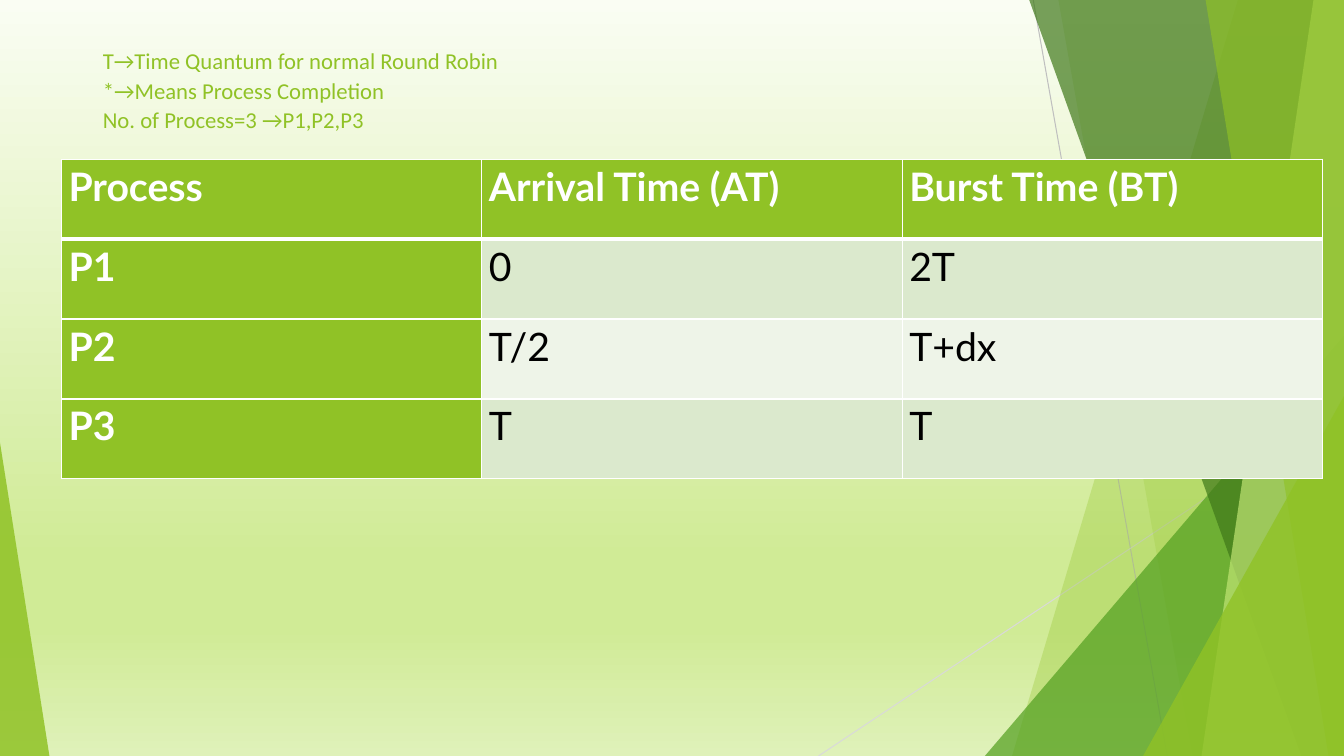
from lxml.etree import SubElement
from pptx import Presentation
from pptx.dml.color import RGBColor
from pptx.enum.shapes import MSO_CONNECTOR, MSO_SHAPE
from pptx.enum.text import MSO_ANCHOR, MSO_AUTO_SIZE, PP_ALIGN
from pptx.oxml.ns import qn
from pptx.util import Inches, Pt

WIDTH, HEIGHT = Inches(13.33), Inches(7.5)
COLORS = {
    "lime": "90C226", "green": "54A021", "forest": "3F7819", "pale lime": "C0E474",
    "gray": "BFBFBF", "light gray": "D9D9D9", "white": "FFFFFF", "black": "000000",
    "odd row": "DBE9CD", "even row": "EEF4E8",
}
BACKDROP = [(0, "FAFDF3"), (74, "D0EB96"), (83, "D0EB96"), (100, "DFF1B9")]
LEGEND = ["T→Time Quantum for normal Round Robin", "*→Means Process Completion",
          "No. of Process=3 →P1,P2,P3"]
SCHEDULE = [
    ["Process", "Arrival Time (AT)", "Burst Time (BT)"],
    ["P1", "0", "2T"],
    ["P2", "T/2", "T+dx"],
    ["P3", "T", "T"],
]
RAYS = [((76.88, 0), (86.85, 100), "gray"), ((100, 53.73), (60.9, 100), "light gray")]
BACK_PANELS = [(92.1, 75.3, "lime", 30), (78.75, 88.73, "lime", 20)]
FRONT_PANELS = [(76.58, 96.83, "forest", 70), (97.73, 89.4, "pale lime", 70),
                (89.7, 98.85, "lime", 65)]
BACK_WEDGES = [(73.28, 100, 44.4, 1, "green", 72)]
FRONT_WEDGES = [(85.05, 100, 52.4, 1, "lime", 80), (0, 3.68, 58.53, 0, "lime", 85)]


def across(percent):
    return round(WIDTH * percent / 100)


def down(percent):
    return round(HEIGHT * percent / 100)


def rgb(name):
    return RGBColor.from_string(COLORS[name])


def paint_backdrop(slide):
    fill = slide.background.fill
    fill.gradient()
    fill.gradient_angle = 270
    stops = slide.element.find(".//" + qn("a:gsLst"))
    for stop in list(stops):
        stops.remove(stop)
    for position, color in BACKDROP:
        stop = SubElement(stops, qn("a:gs"), pos=str(position * 1000))
        SubElement(stop, qn("a:srgbClr"), val=color)


def tint(facet, color, opacity):
    facet.shadow.inherit = False
    facet.line.fill.background()
    facet.fill.solid()
    facet.fill.fore_color.rgb = rgb(color)
    shade = facet.element.spPr.find(qn("a:solidFill"))[0]
    SubElement(shade, qn("a:alpha"), val=str(opacity * 1000))


def add_ray(slide, start, end, color):
    ray = slide.shapes.add_connector(
        MSO_CONNECTOR.STRAIGHT, across(start[0]), down(start[1]), across(end[0]), down(end[1]))
    ray.line.color.rgb = rgb(color)
    ray.line.width = Pt(0.75)
    SubElement(ray.element.spPr, qn("a:effectLst"))


def add_panel(slide, top_left, bottom_left, color, opacity):
    outline = slide.shapes.build_freeform(across(top_left), 0)
    outline.add_line_segments(
        [(WIDTH, 0), (WIDTH, HEIGHT), (across(bottom_left), HEIGHT)], close=True)
    tint(outline.convert_to_shape(), color, opacity)


def add_wedge(slide, left, right, top, apex, color, opacity):
    wedge = slide.shapes.add_shape(
        MSO_SHAPE.ISOSCELES_TRIANGLE, across(left), down(top),
        across(right - left), down(100 - top))
    wedge.adjustments[0] = apex
    tint(wedge, color, opacity)


def write(frame, text, font, size, color, bold=False, align=PP_ALIGN.LEFT):
    frame.text = text
    paragraph = frame.paragraphs[0]
    paragraph.alignment = align
    paragraph.line_spacing = 1.07
    paragraph.space_before = Pt(0)
    paragraph.space_after = Pt(8)
    for run in paragraph.runs:
        run.font.name = font
        run.font.size = Pt(size)
        run.font.bold = bold
        run.font.color.rgb = rgb(color)


def place_legend(slide):
    legend = slide.shapes.title
    slide.shapes.element.append(legend.element)
    legend.left, legend.top = across(6.9), down(5.33)
    legend.width, legend.height = across(86.25), down(11.33)
    frame = legend.text_frame
    frame.word_wrap = True
    frame.auto_size = MSO_AUTO_SIZE.NONE
    frame.vertical_anchor = MSO_ANCHOR.TOP
    write(frame, "\v".join(LEGEND), font="Calibri", size=16.2, color="lime")


def add_borders(cell, bottom, top):
    properties = cell._tc.get_or_add_tcPr()
    for side, width in (("L", 1), ("R", 1), ("T", top), ("B", bottom)):
        border = SubElement(properties, qn("a:ln" + side), w=str(Pt(width)))
        SubElement(SubElement(border, qn("a:solidFill")), qn("a:srgbClr"), val=COLORS["white"])


def add_schedule(slide):
    rows, columns = len(SCHEDULE), len(SCHEDULE[0])
    schedule = slide.shapes.add_table(
        rows, columns, across(4.58), down(21.07), across(93.83), down(42.27)).table
    for row, values in enumerate(SCHEDULE):
        for column, value in enumerate(values):
            cell = schedule.cell(row, column)
            heading = row == 0 or column == 0
            cell.margin_left = cell.margin_right = Inches(0.07)
            cell.margin_top = cell.margin_bottom = 0
            add_borders(cell, bottom=3 if row == 0 else 1, top=3 if row == 1 else 1)
            band = "odd row" if row % 2 else "even row"
            cell.fill.solid()
            cell.fill.fore_color.rgb = rgb("lime" if heading else band)
            write(cell.text_frame, value, font="Lato", size=28, bold=heading,
                  color="white" if heading else "black", align=PP_ALIGN.JUSTIFY)


def main():
    deck = Presentation()
    deck.slide_width, deck.slide_height = WIDTH, HEIGHT
    slide = deck.slides.add_slide(deck.slide_layouts[5])
    paint_backdrop(slide)
    for add, facets in ((add_ray, RAYS), (add_panel, BACK_PANELS), (add_wedge, BACK_WEDGES),
                        (add_panel, FRONT_PANELS), (add_wedge, FRONT_WEDGES)):
        for facet in facets:
            add(slide, *facet)
    place_legend(slide)
    add_schedule(slide)
    deck.save("out.pptx")


if __name__ == "__main__":
    main()
